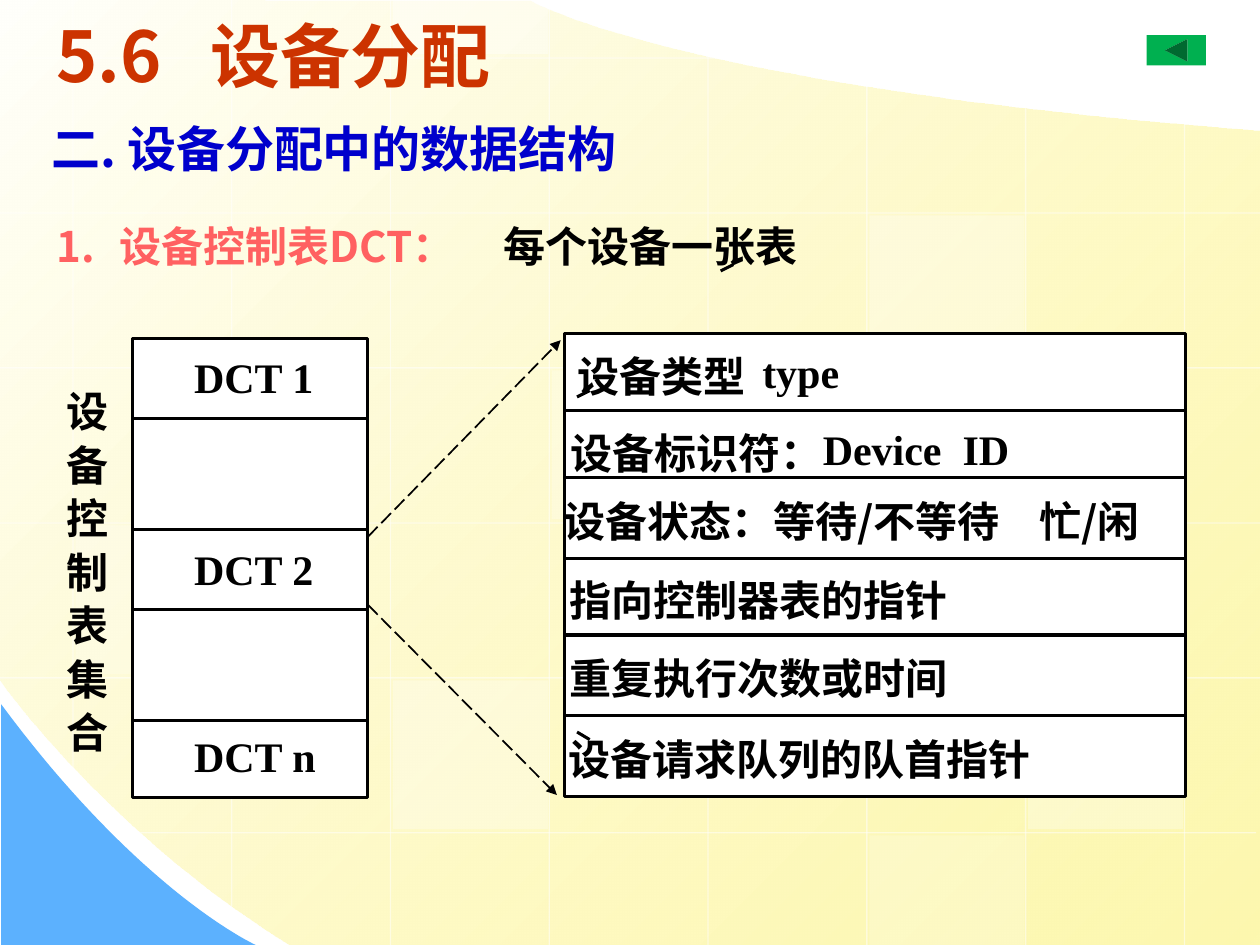
"""Build the slide on the device control table (DCT)."""
from dataclasses import dataclass
from itertools import pairwise

from pptx import Presentation, util as u
from pptx.dml.color import RGBColor
from pptx.enum import dml, shapes, text
from pptx.oxml.ns import qn
from lxml import etree

COLORS = {
    "title": "CC3300", "heading": "0000CC", "topic": "FF6161", "ink": "000000",
    "paper": "FFFFFF", "cream": "FFFFFB", "yellow": "FDF58D", "corner": "5CB1FE",
    "button": "00B050",
}
CJK, LATIN = "Noto Sans CJK SC", "Times New Roman"
WIDTH, HEIGHT = u.Inches(10), u.Inches(7.5)
COLUMNS, ROWS = 10, 7.5
TILE_LEFT, TILE_TOP, TILE_COLUMN, TILE_ROW = 0.58, 0.46, 1.26, 1.23


@dataclass(frozen=True)
class Label:
    words: str
    left: float
    top: float
    width: float
    font: str = CJK
    tab: float | None = None


@dataclass(frozen=True)
class Stack:
    left: float
    width: float
    edges: tuple[float, ...]


@dataclass(frozen=True)
class Line:
    start: tuple[float, float]
    end: tuple[float, float]
    color: str = "ink"
    weight: float = 1.75
    arrow: bool = False
    alpha: int = 100


@dataclass(frozen=True)
class Tile:
    column: int
    row: int
    alpha: int


FIELDS = Stack(4.48, 4.93, (2.65, 3.26, 3.79, 4.43, 5.04, 5.68, 6.32))
CONTROL_TABLES = Stack(1.05, 1.87, (2.69, 3.32, 4.2, 4.84, 5.72, 6.33))
LABELS = (
    Label("设备类型", 4.58, 2.78, 1.41),
    Label("type", 6.05, 2.75, 0.7, LATIN),
    Label("设备标识符：", 4.53, 3.39, 2),
    Label("Device\tID", 6.53, 3.36, 1.55, LATIN, 1.11),
    Label("设备状态：等待/不等待\t忙/闲", 4.47, 3.93, 4.75, tab=3.78),
    Label("指向控制器表的指针", 4.52, 4.56, 3),
    Label("重复执行次数或时间", 4.52, 5.18, 3),
    Label("设备请求队列的队首指针", 4.51, 5.82, 3.67),
    Label("DCT 1", 1.54, 2.79, 1, LATIN),
    Label("DCT 2", 1.54, 4.31, 1, LATIN),
    Label("DCT n", 1.54, 5.8, 1, LATIN),
)
SIDE_LABELS = tuple(
    Label(character, 0.53, 3.06 + 0.425 * place, 0.33)
    for place, character in enumerate("设备控制表集合")
)
LINES = (
    Line((5.72, 2.15), (5.82, 2.1)),
    Line((4.58, 3.15), (4.68, 3.1)),
    Line((4.58, 5.81), (4.68, 5.87)),
    Line((2.92, 4.26), (4.45, 2.7), weight=1, arrow=True),
    Line((2.92, 4.8), (4.42, 6.31), weight=1, arrow=True),
)
TILES = (
    Tile(3, 2, 25), Tile(6, 4, 30), Tile(0, 3, 20), Tile(5, 5, 20),
    Tile(2, -1, 40), Tile(2, 4, 30), Tile(5, 1, 30),
)
COLUMN_SPANS = ((0, 6.09), (0, 7.19), (0, 7.5), (0, 7.5),
                (0.43, 7.5), (0.68, 7.5), (0.85, 7.5), (0.98, 7.5))
ROW_SPANS = ((0, 5.68), (0, 10), (0, 10), (0, 10), (0, 10), (1.11, 9.97))


def col(count: float) -> int:
    """Return the length of a number of grid columns."""
    return round(WIDTH * count / COLUMNS)


def row(count: float) -> int:
    """Return the length of a number of grid rows."""
    return round(HEIGHT * count / ROWS)


def rgb(name: str) -> RGBColor:
    """Look up a named colour."""
    return RGBColor.from_string(COLORS[name])


def set_alpha(element, percent: int) -> None:
    """Make the last colour of an element partly transparent."""
    color = list(element.iter(qn("a:srgbClr")))[-1]
    etree.SubElement(color, qn("a:alpha"), val=str(percent * 1000))


def curve(*controls: tuple[float, float], steps: int = 40) -> list[tuple[float, float]]:
    """Sample a cubic curve given by its four control points."""
    points = []
    for step in range(steps + 1):
        t = step / steps
        weights = ((1 - t) ** 3, 3 * t * (1 - t) ** 2, 3 * t * t * (1 - t), t ** 3)
        points.append(tuple(sum(w * c[axis] for w, c in zip(weights, controls))
                            for axis in (0, 1)))
    return points


def draw_outline(slide, points: list[tuple[float, float]]):
    """Draw a closed outline without a border."""
    start, *rest = [(col(x), row(y)) for x, y in points]
    builder = slide.shapes.build_freeform(*start)
    builder.add_line_segments(rest)
    outline = builder.convert_to_shape()
    outline.shadow.inherit = False
    outline.line.fill.background()
    return outline


def draw_shape(slide, kind, left: float, top: float, width: float, height: float, fill: str):
    """Draw a preset shape with a plain fill and no border."""
    shape = slide.shapes.add_shape(kind, col(left), row(top), col(width), row(height))
    shape.shadow.inherit = False
    shape.fill.solid()
    shape.fill.fore_color.rgb = rgb(fill)
    shape.line.fill.background()
    return shape


def draw_line(slide, line: Line) -> None:
    """Draw a straight line, dashed when it carries an arrowhead."""
    ends = [length(n) for point in (line.start, line.end) for length, n in zip((col, row), point)]
    connector = slide.shapes.add_connector(shapes.MSO_CONNECTOR.STRAIGHT, *ends)
    connector.line.color.rgb = rgb(line.color)
    connector.line.width = u.Pt(line.weight)
    properties = connector._element.spPr
    if line.alpha < 100:
        set_alpha(properties, line.alpha)
    if line.arrow:
        connector.line.dash_style = dml.MSO_LINE.LONG_DASH
        etree.SubElement(connector.line._get_or_add_ln(), qn("a:tailEnd"), type="triangle")
    etree.SubElement(properties, qn("a:effectLst"))


def draw_stack(slide, stack: Stack) -> None:
    """Draw bordered cells from one edge to the next."""
    for top, bottom in pairwise(stack.edges):
        cell = draw_shape(slide, shapes.MSO_SHAPE.RECTANGLE, stack.left, top,
                          stack.width, bottom - top, "paper")
        cell.line.color.rgb = rgb("ink")
        cell.line.width = u.Pt(1.75)


def add_tab(paragraph, position: float) -> None:
    """Add a left tab stop to a paragraph."""
    tabs = etree.SubElement(paragraph._p.get_or_add_pPr(), qn("a:tabLst"))
    etree.SubElement(tabs, qn("a:tab"), pos=str(col(position)), algn="l")


def style(paragraph, size: int, color: str, font: str = CJK) -> None:
    """Set the bold font of a whole paragraph."""
    paragraph.font.size, paragraph.font.bold = u.Pt(size), True
    paragraph.font.name = font
    paragraph.font.color.rgb = rgb(color)
    defaults = paragraph._p.pPr.find(qn("a:defRPr"))
    etree.SubElement(defaults, qn("a:ea"), typeface=font)


def add_text(slide, label: Label, height: float, wrap: bool = False, margin: bool = True):
    """Add a text box and return its paragraph."""
    frame = slide.shapes.add_textbox(col(label.left), row(label.top),
                                     col(label.width), row(height)).text_frame
    frame.word_wrap = wrap
    if not margin:
        frame.margin_left = frame.margin_right = frame.margin_top = frame.margin_bottom = 0
    paragraph = frame.paragraphs[0]
    paragraph.text = label.words
    if label.tab:
        add_tab(paragraph, label.tab)
    return paragraph


def draw_backdrop(slide) -> None:
    """Draw the yellow sweep, the blue corner and the tiled grid."""
    sweep = draw_outline(slide, [
        (10, 1.04), (10, 7.5),
        *curve((2.3, 7.5), (0.86, 6.61), (-0.01, 5.39), (0, 5.39)), (0, 0),
        *curve((4.21, 0.01), (4.21, 0.01), (5.37, 0.69), (10, 1.04))])
    sweep.fill.gradient()
    sweep.fill.gradient_angle = 315
    for stop, name in zip(sweep.fill.gradient_stops, ("cream", "yellow")):
        stop.color.rgb = rgb(name)
    set_alpha(sweep._element.spPr.find(qn("a:gradFill")), 70)
    corner = draw_outline(slide, [
        (0.01, 7.5), *curve((2.03, 7.5), (2.03, 7.5), (1.12, 7.09), (0.01, 5.59))])
    corner.fill.solid()
    corner.fill.fore_color.rgb = rgb("corner")
    for place, (top, bottom) in enumerate(COLUMN_SPANS):
        x = TILE_LEFT + place * TILE_COLUMN
        draw_line(slide, Line((x, top), (x, bottom), "paper", 0.75, alpha=50))
    for place, (left, right) in enumerate(ROW_SPANS):
        y = TILE_TOP + place * TILE_ROW
        draw_line(slide, Line((left, y), (right, y), "paper", 0.75, alpha=50))
    for tile in TILES:
        top = TILE_TOP + tile.row * TILE_ROW + 0.02
        bottom = min(top + 1.18, ROWS)
        top = max(top, 0)
        square = draw_shape(slide, shapes.MSO_SHAPE.RECTANGLE,
                            TILE_LEFT + tile.column * TILE_COLUMN + 0.02, top,
                            1.23, bottom - top, "paper")
        set_alpha(square._element.spPr, tile.alpha)


def draw_headings(slide) -> None:
    """Format the title and add the two headings below it."""
    title = slide.shapes.title
    slide.shapes._spTree.append(title._element)
    title.left, title.top, title.width, title.height = col(0.35), row(0.05), col(5.2), row(0.77)
    title.text_frame.vertical_anchor = text.MSO_ANCHOR.TOP
    title.text = "5.6\t设备分配"
    name = title.text_frame.paragraphs[0]
    name.alignment = text.PP_ALIGN.LEFT
    add_tab(name, 1.22)
    style(name, 40, "title")
    style(add_text(slide, Label("二. 设备分配中的数据结构", 0.31, 0.89, 4.96), 0.57), 28, "heading")
    topic = add_text(slide, Label("设备控制表DCT：", 0.35, 1.7, 7.72), 0.5, wrap=True)
    properties = topic._p.get_or_add_pPr()
    properties.set("marL", str(col(0.5)))
    properties.set("indent", str(-col(0.5)))
    bullet_color = etree.SubElement(properties, qn("a:buClr"))
    etree.SubElement(bullet_color, qn("a:srgbClr"), val=COLORS["topic"])
    etree.SubElement(properties, qn("a:buAutoNum"), type="arabicPeriod")
    add_tab(topic, 3.55)
    style(topic, 24, "topic")
    remark = topic.add_run()
    remark.text = "\t每个设备一张表"
    remark.font.color.rgb = rgb("ink")


def main() -> None:
    """Build and save the slide."""
    deck = Presentation()
    deck.slide_width, deck.slide_height = WIDTH, HEIGHT
    slide = deck.slides.add_slide(deck.slide_layouts[5])
    draw_backdrop(slide)
    draw_headings(slide)
    for stack in (FIELDS, CONTROL_TABLES):
        draw_stack(slide, stack)
    for label in LABELS + SIDE_LABELS:
        style(add_text(slide, label, 0.4, margin=False), 24, "ink", label.font)
    for line in LINES:
        draw_line(slide, line)
    draw_shape(slide, shapes.MSO_SHAPE.ACTION_BUTTON_BACK_OR_PREVIOUS,
               9.1, 0.28, 0.47, 0.24, "button")
    deck.save("out.pptx")


if __name__ == "__main__":
    main()
